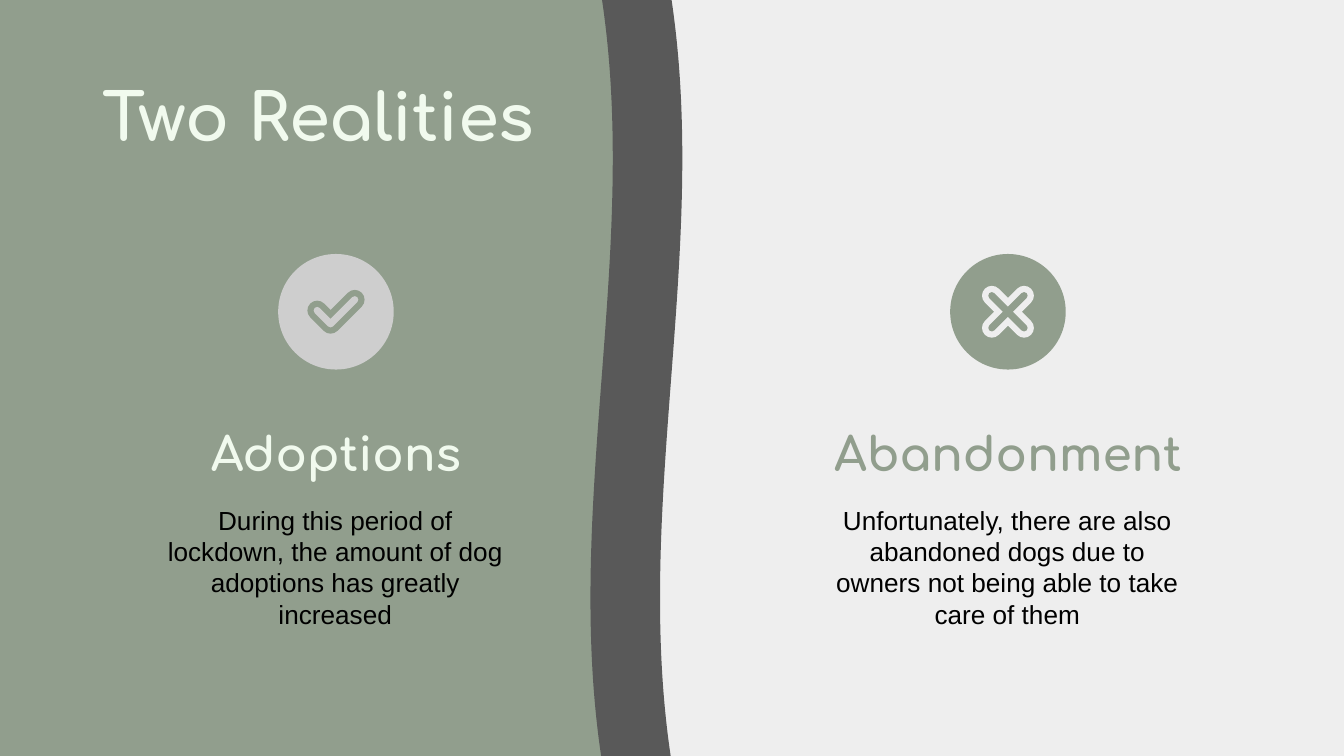
from lxml import etree
from pptx import Presentation
from pptx.dml.color import RGBColor
from pptx.enum.shapes import MSO_SHAPE
from pptx.enum.text import MSO_ANCHOR, MSO_AUTO_SIZE, PP_ALIGN
from pptx.oxml.ns import qn
from pptx.util import Inches, Pt

RECTANGLE, WAVE, OVAL = MSO_SHAPE.RECTANGLE, MSO_SHAPE.WAVE, MSO_SHAPE.OVAL
TOP, MIDDLE = MSO_ANCHOR.TOP, MSO_ANCHOR.MIDDLE
LEFT, CENTER = PP_ALIGN.LEFT, PP_ALIGN.CENTER

SAGE = RGBColor(0x91, 0x9E, 0x8D)
MINT = RGBColor(0xF1, 0xFA, 0xEE)
PALE = RGBColor(0xEE, 0xEE, 0xEE)
SILVER = RGBColor(0xCE, 0xCE, 0xCE)
CHARCOAL = RGBColor(0x59, 0x59, 0x59)
BLACK = RGBColor(0, 0, 0)

WIDTH = 10
HEIGHT = WIDTH * 9 / 16
COMPARISON_LAYOUT = 4
ICON_SIZE, ICON_MIDDLE = 0.86, 2.32
OUTER_STROKE, INNER_STROKE = 10.5, 3.8

# Stroke points in inches, measured from the centre of the icon.
CHECK = [[(-0.14, -0.01), (-0.04, 0.09), (0.14, -0.09)]]
CROSS = [[(-0.12, -0.12), (0.12, 0.12)], [(-0.12, 0.12), (0.12, -0.12)]]

TITLE = {"size": Pt(35), "name": "Comfortaa", "bold": True}
HEADING = {"size": Pt(25), "name": "Comfortaa", "bold": True}
BODY = {"size": Pt(14), "name": "Arial", "bold": False}

# Column centre, heading, heading colour, text, disc, outline, strokes
COLUMNS = [
    (WIDTH / 4, "Adoptions", MINT,
     "During this period of lockdown, the amount of dog adoptions has "
     "greatly increased", SILVER, SAGE, CHECK),
    (WIDTH * 3 / 4, "Abandonment", SAGE,
     "Unfortunately, there are also abandoned dogs due to owners not being "
     "able to take care of them", SAGE, PALE, CROSS),
]


def add_filled(slide, kind, left, top, width, height, color):
    shape = slide.shapes.add_shape(
        kind, Inches(left), Inches(top), Inches(width), Inches(height))
    shape.shadow.inherit = False
    shape.fill.solid()
    shape.fill.fore_color.rgb = color
    shape.line.fill.background()
    return shape


def add_backdrop(slide):
    """Place the pale half and the wavy divider behind the placeholders."""
    slide.background.fill.solid()
    slide.background.fill.fore_color.rgb = SAGE
    half = add_filled(slide, RECTANGLE, 4.88, 0, WIDTH - 4.88, HEIGHT, PALE)
    divider = add_filled(slide, WAVE, 1.9, 2.47, 5.67, 0.69, CHARCOAL)
    divider.adjustments[0] = 0.125
    divider.rotation = 90
    for index, shape in enumerate((half, divider), start=2):
        shape.element.getparent().insert(index, shape.element)


def fill_placeholder(box, area, text, style, color, align, anchor):
    box.left, box.top, box.width, box.height = map(Inches, area)
    frame = box.text_frame
    frame.text = text
    layout = {"word_wrap": True, "auto_size": MSO_AUTO_SIZE.NONE,
              "vertical_anchor": anchor}
    layout.update(dict.fromkeys(
        ("margin_left", "margin_right", "margin_top", "margin_bottom"),
        Inches(0.1)))
    for name, value in layout.items():
        setattr(frame, name, value)
    para = frame.paragraphs[0]
    properties = para._p.get_or_add_pPr()
    properties.set("marL", "0")
    properties.set("indent", "0")
    etree.SubElement(properties, qn("a:buNone"))
    para.alignment = align
    para.space_before = Pt(0)
    span = para.runs[0]
    for name, value in style.items():
        setattr(span.font, name, value)
    span.font.color.rgb = color
    return para


def add_stroke(slide, points, color, width):
    """Draw an open line with round ends and a round bend."""
    corners = [(Inches(x), Inches(y)) for x, y in points]
    builder = slide.shapes.build_freeform(*corners[0])
    builder.add_line_segments(corners[1:], close=False)
    stroke = builder.convert_to_shape()
    stroke.shadow.inherit = False
    stroke.fill.background()
    stroke.line.color.rgb = color
    stroke.line.width = Pt(width)
    outline = stroke.line._get_or_add_ln()
    outline.set("cap", "rnd")
    etree.SubElement(outline, qn("a:round"))


def add_icon(slide, center, disc_color, outline_color, strokes):
    add_filled(slide, OVAL, center - ICON_SIZE / 2,
               ICON_MIDDLE - ICON_SIZE / 2, ICON_SIZE, ICON_SIZE, disc_color)
    for color, width in ((outline_color, OUTER_STROKE),
                         (disc_color, INNER_STROKE)):
        for stroke in strokes:
            points = [(center + x, ICON_MIDDLE + y) for x, y in stroke]
            add_stroke(slide, points, color, width)


def add_column(slide, heading_box, body_box, column):
    center, heading, color, text, disc, outline, strokes = column
    fill_placeholder(heading_box, (center - 1.72, 3.21, 3.44, 0.32),
                     heading, HEADING, color, CENTER, MIDDLE)
    para = fill_placeholder(body_box, (center - 1.43, 3.65, 2.85, 1.35),
                            text, BODY, BLACK, CENTER, TOP)
    para.line_spacing = 1.0
    para.space_after = Pt(16)
    add_icon(slide, center, disc, outline, strokes)


def main():
    deck = Presentation()
    deck.slide_width, deck.slide_height = Inches(WIDTH), Inches(HEIGHT)
    page = deck.slides.add_slide(deck.slide_layouts[COMPARISON_LAYOUT])
    add_backdrop(page)
    title, *boxes = page.placeholders
    fill_placeholder(title, (0.66, 0.47, 8.69, 0.63), "Two Realities",
                     TITLE, MINT, LEFT, TOP)
    for heading_box, body_box, column in zip(boxes[::2], boxes[1::2], COLUMNS):
        add_column(page, heading_box, body_box, column)
    deck.save("out.pptx")


if __name__ == "__main__":
    main()
